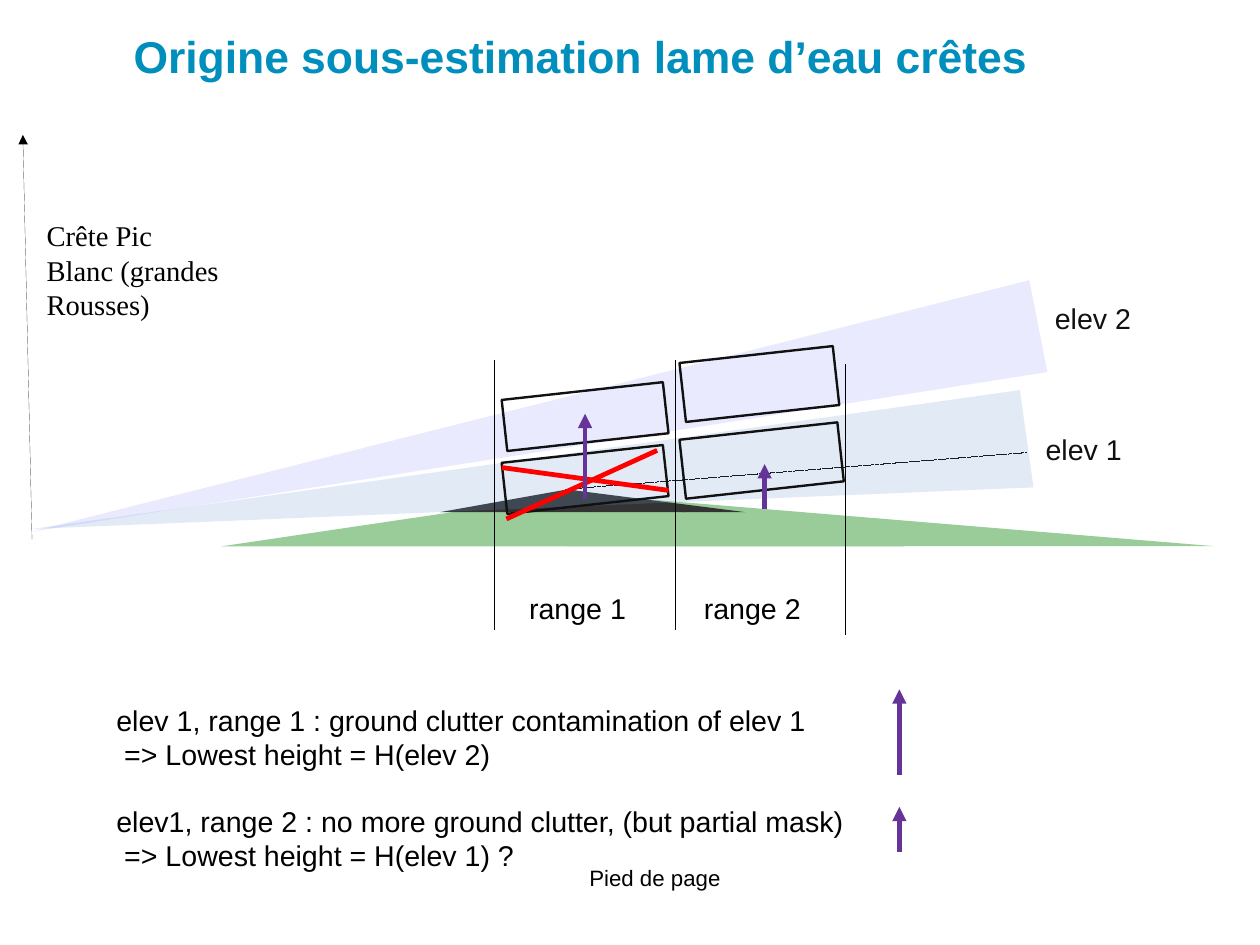
from lxml import etree
from pptx import Presentation
from pptx.dml.color import RGBColor
from pptx.enum.dml import MSO_LINE
from pptx.enum.shapes import MSO_CONNECTOR, MSO_SHAPE
from pptx.enum.text import MSO_ANCHOR, MSO_AUTO_SIZE, PP_ALIGN
from pptx.oxml.ns import qn
from pptx.util import Pt

RECT = MSO_SHAPE.RECTANGLE
PEAK = MSO_SHAPE.ISOSCELES_TRIANGLE
SLOPE = MSO_SHAPE.RIGHT_TRIANGLE
STRAIGHT = MSO_CONNECTOR.STRAIGHT
DOTTED = MSO_LINE.ROUND_DOT
MIDDLE = MSO_ANCHOR.MIDDLE
FIT = MSO_AUTO_SIZE.SHAPE_TO_FIT_TEXT
LEFT, CENTER = PP_ALIGN.LEFT, PP_ALIGN.CENTER

BLACK, INK, WHITE = "000000", "111111", "FFFFFF"
GREEN, ROCK, BLUE = "99CC99", "333333", "008FBD"
RED, PURPLE = "FF0000", "663399"


def color(code):
    return RGBColor.from_string(code)


class Board:
    def __init__(self, slide):
        self.slide = slide
        self.face = "Arial"
        self.size = 18

    def style(self, para, size, face, ink, align=LEFT, bold=False):
        para.alignment = align
        font = para.font
        font.size, font.name, font.bold = Pt(size), face, bold
        font.color.rgb = color(ink)

    def inset(self, frame, side, top):
        frame.margin_left = frame.margin_right = Pt(side)
        frame.margin_top = frame.margin_bottom = Pt(top)

    def title(self, words, box):
        shape = self.slide.shapes.title
        shape.left, shape.top, shape.width, shape.height = map(Pt, box)
        shape.fill.solid()
        shape.fill.fore_color.rgb = color(WHITE)
        frame = shape.text_frame
        frame.text = words
        frame.word_wrap = True
        frame.vertical_anchor = MIDDLE
        self.inset(frame, 0, 0)
        self.style(frame.paragraphs[0], 28, self.face, BLUE, bold=True)

    def text(self, box, lines, ink=BLACK, size=None, face=None, align=LEFT, pad=(7.2, 3.6)):
        frame = self.slide.shapes.add_textbox(*map(Pt, box)).text_frame
        frame.word_wrap = True
        frame.auto_size = FIT
        self.inset(frame, *pad)
        frame.text = "\n".join(lines)
        for para in frame.paragraphs:
            self.style(para, size or self.size, face or self.face, ink, align)
        return frame.paragraphs

    def shape(self, kind, box, fill=None, tip=None, turn=0, alpha=None):
        shape = self.slide.shapes.add_shape(kind, *map(Pt, box))
        shape.shadow.inherit = False
        shape.rotation = turn
        if tip is not None:
            shape.adjustments[0] = tip
        if fill:
            shape.line.fill.background()
            shape.fill.solid()
            shape.fill.fore_color.rgb = color(fill)
        else:
            shape.fill.background()
            shape.line.color.rgb = color(INK)
            shape.line.width = Pt(1.5)
        if alpha:
            tint = shape.element.spPr.find(".//" + qn("a:srgbClr"))
            etree.SubElement(tint, qn("a:alpha")).set("val", str(alpha * 1000))

    def line(self, start, end, ink=BLACK, width=0, dash=None, head=False):
        link = self.slide.shapes.add_connector(STRAIGHT, *map(Pt, start + end))
        link.line.color.rgb = color(ink)
        if dash:
            link.line.dash_style = dash
        spot = link.element.spPr
        stroke = spot.find(qn("a:ln"))
        stroke.set("w", str(Pt(width)))
        if head:
            etree.SubElement(stroke, qn("a:tailEnd")).set("type", "triangle")
        etree.SubElement(spot, qn("a:effectLst"))


def main():
    deck = Presentation()
    deck.slide_width, deck.slide_height = Pt(793.75), Pt(595.25)
    board = Board(deck.slides.add_slide(deck.slide_layouts[5]))

    board.shape(SLOPE, (356.4, 310.3, 409, 33.8), GREEN)
    board.shape(SLOPE, (356.4, 308.2, 113, 14.4), ROCK)
    board.title("Origine sous-estimation lame d’eau crêtes", (84.2, 12, 687.6, 46.8))
    board.shape(PEAK, (139, 311.8, 431.3, 32.4), GREEN, 0.507)
    board.line((356.4, 308.2), (646.6, 285.1), dash=DOTTED)
    board.text((22.3, 133.9, 125.3, 106.6), ["Crête Pic Blanc (grandes Rousses)"],
               face="Times New Roman")
    board.shape(PEAK, (277.2, 308.2, 154.8, 14.4), ROCK, 0.521)

    notes = board.text((66.2, 439, 670.3, 128.2), [
        "elev 1, range 1 : ground clutter contamination of elev 1",
        "=> Lowest height = H(elev 2)",
        "elev1, range 2 : no more ground clutter, (but partial mask)",
        "=> Lowest height = H(elev 1) ?",
    ])
    for para in notes[1::2]:
        props = para._p.get_or_add_pPr()
        props.set("marL", str(Pt(5)))
        props.set("indent", "0")
    notes[2].space_before = Pt(20.7)

    board.shape(PEAK, (304.6, 5.8, 61.9, 628.6), "729FCF", 1, 262, 20)
    board.shape(PEAK, (306.7, -56.2, 59, 648), "9999FF", 0.417, 258.9, 20)
    for name, left, top in (("elev 1", 651.6, 268.6), ("elev 2", 657.4, 185.8)):
        board.text((left, top, 77.8, 28.8), [name], INK)

    for gate in ((317.5, 285.8, 102.2, 32.4), (317.5, 246.2, 102.2, 32.4),
                 (429.8, 223.2, 97.2, 37.4), (429.8, 271.4, 100.1, 37.4)):
        board.shape(RECT, gate, turn=353.7)
    for left, top in ((311.8, 226.8), (425.5, 226.8), (532.8, 229.7)):
        board.line((left, top), (left, top + 169.9))
    for name, left in (("range 1", 326.2), ("range 2", 436.3)):
        board.text((left, 368.6, 85, 28.1), [name])

    board.line((20.2, 339.8), (14.4, 85), head=True)
    board.line((316.1, 294.5), (421.2, 308.9), RED, 3)
    board.line((414, 283.7), (319, 326.9), RED, 3)
    for left, low, high in ((481.7, 320.4, 292.3), (368.6, 314.6, 260.6),
                            (566.6, 488.2, 434.2), (566.6, 536.4, 508.3)):
        board.line((left, low), (left, high), PURPLE, 3, head=True)
    board.text((146.9, 544.3, 531.4, 28.1), ["Pied de page"], size=14, align=CENTER, pad=(0, 0))

    deck.save("out.pptx")


if __name__ == "__main__":
    main()
